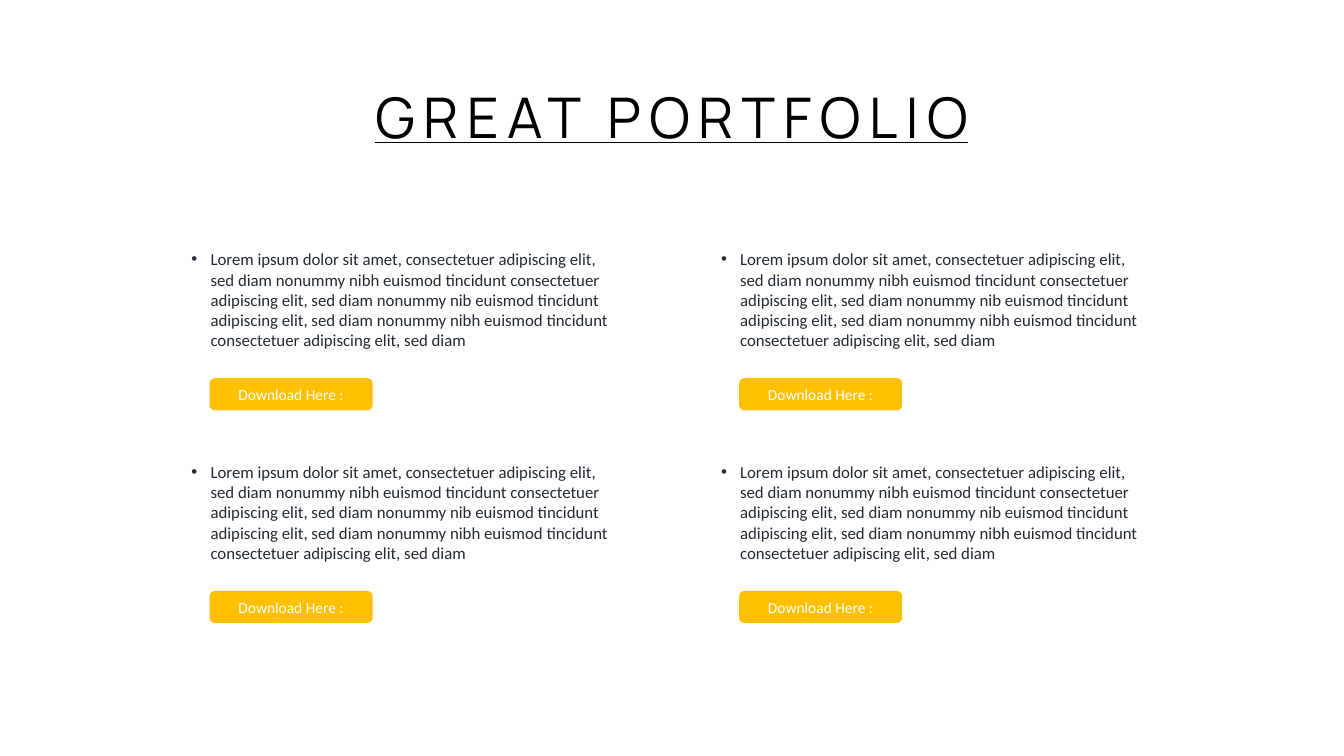
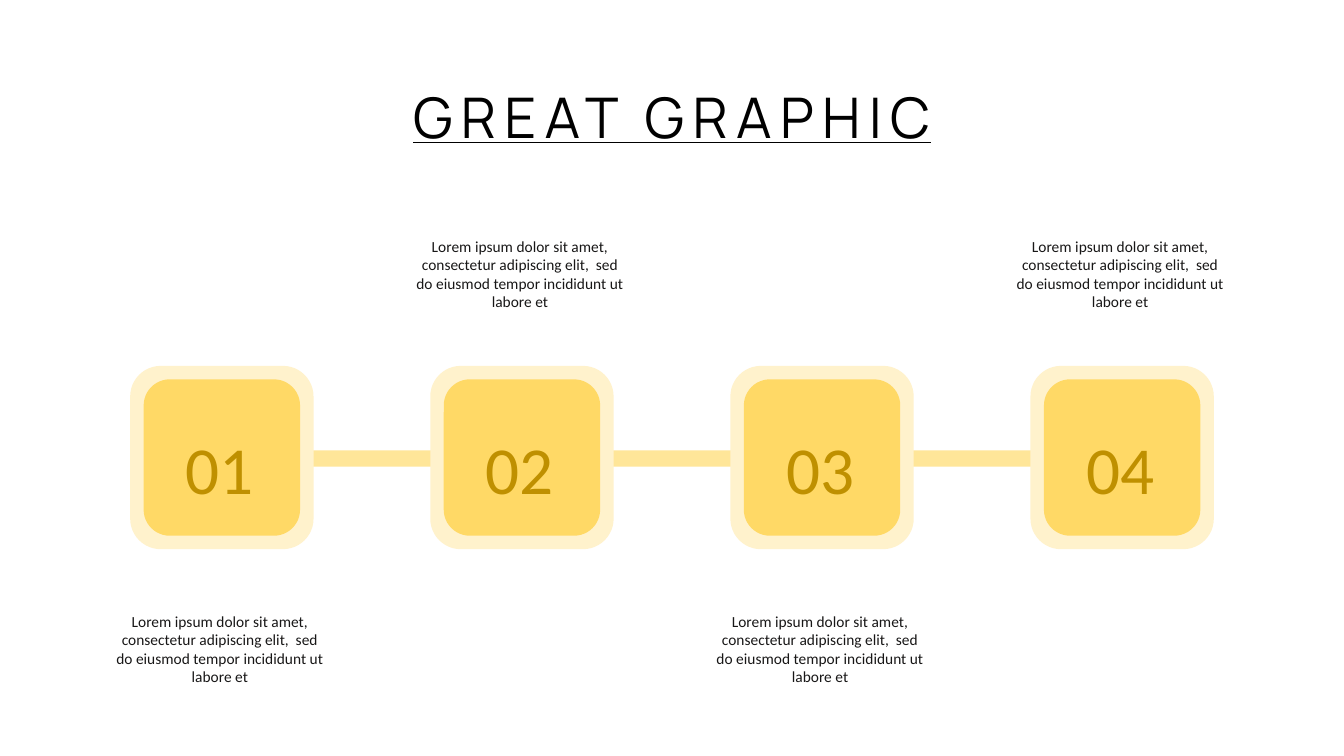
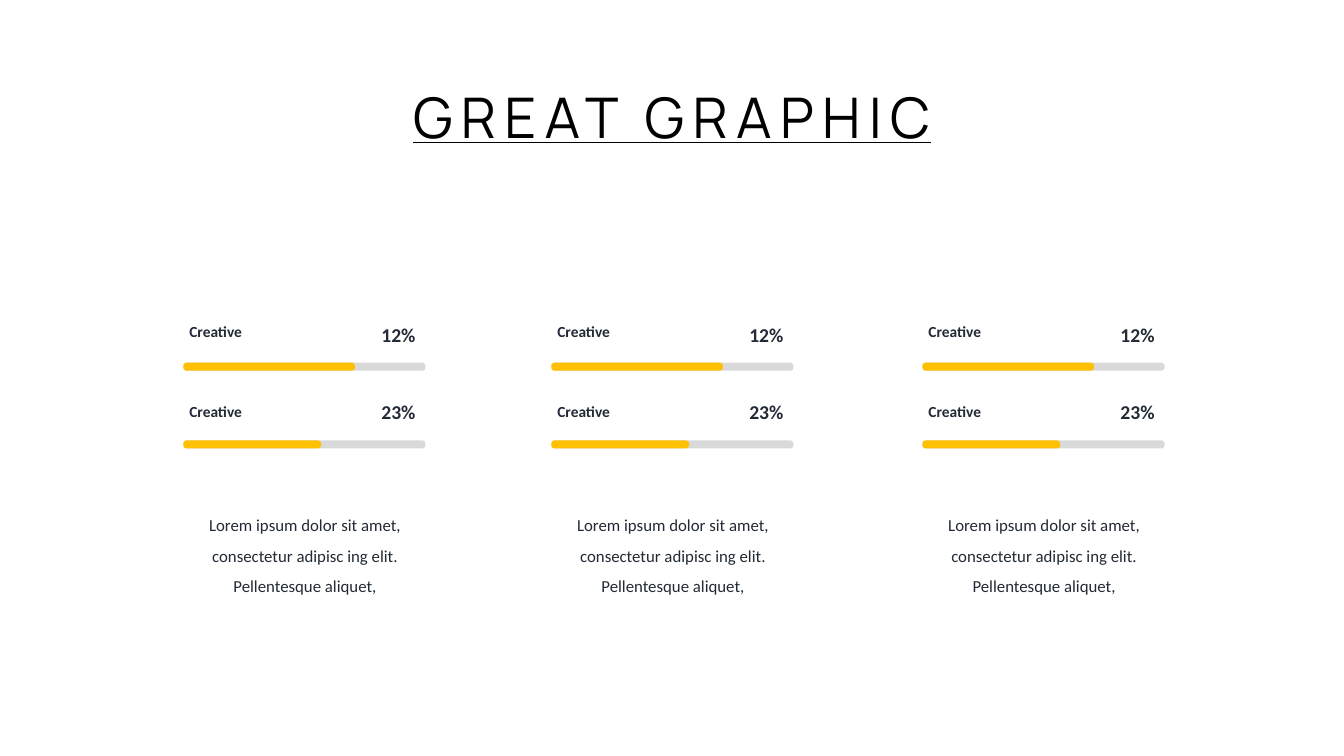
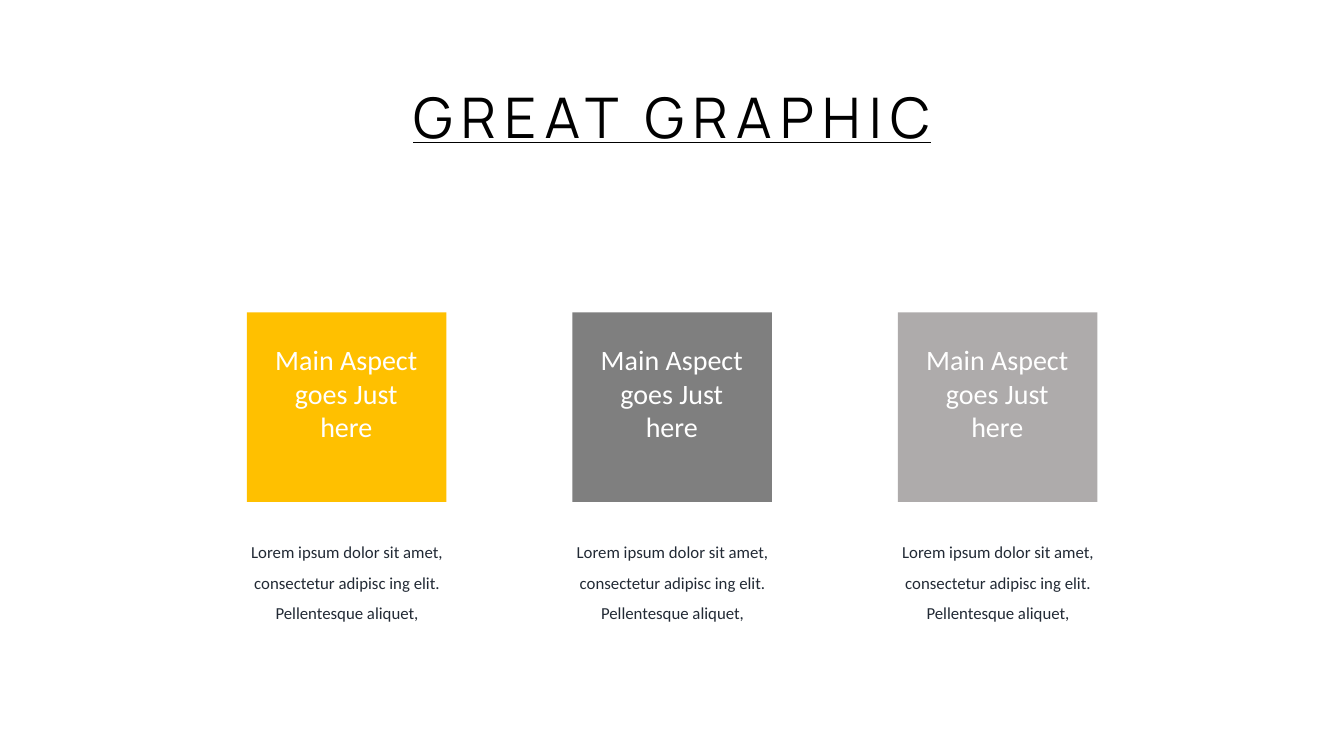
from lxml import etree
from pptx import Presentation
from pptx import util as u
from pptx.dml.color import RGBColor
from pptx.enum import shapes, text
from pptx.oxml.ns import qn

AMBER, INK, WHITE = "FFC000", "222A35", "FFFFFF"
TITLE_ONLY, COMPARISON = 5, 4
ALIGN, SHAPE = text.PP_ALIGN, shapes.MSO_SHAPE


def colour(hex_code):
    return RGBColor.from_string(hex_code)


class Deck:
    def __init__(self):
        self.prs = Presentation()
        self.prs.slide_width, self.prs.slide_height = u.Inches(13.33), u.Inches(7.5)

    def slide(self, heading, layout=TITLE_ONLY):
        self.page = self.prs.slides.add_slide(self.prs.slide_layouts[layout])
        title = self.page.shapes.title
        self.place(title, 4.23, 1.96, 25.4, 1.96)
        self.set_text(title, heading, 40, "000000", font="Manrope")
        for paragraph in title.text_frame.paragraphs:
            paragraph.font.underline = True
            for run in paragraph.runs:
                run.font.underline = True
                run.font._element.set("spc", "600")

    def place(self, item, left, top, width, height):
        item.left, item.top = u.Cm(left), u.Cm(top)
        item.width, item.height = u.Cm(width), u.Cm(height)

    def set_text(self, item, words, size, ink, align=ALIGN.CENTER, bold=False,
                 spacing=1.0, anchor=text.MSO_ANCHOR.TOP, font="Calibri"):
        frame = item.text_frame
        frame.text = words
        frame.word_wrap = True
        frame.auto_size = text.MSO_AUTO_SIZE.NONE
        frame.vertical_anchor = anchor
        for paragraph in frame.paragraphs:
            paragraph.alignment = align
            paragraph.line_spacing = spacing
            paragraph.space_before = u.Pt(0)
            paragraph.font.name = font
            paragraph.font.size = u.Pt(size)
            paragraph.font.bold = bold
            paragraph.font.color.rgb = colour(ink)

    def label(self, words, left, top, width, height, size, ink=INK, **style):
        box = self.page.shapes.add_textbox(
            u.Cm(left), u.Cm(top), u.Cm(width), u.Cm(height))
        self.set_text(box, words, size, ink, **style)

    def block(self, kind, left, top, width, height, fill, corner=None):
        block = self.page.shapes.add_shape(
            kind, u.Cm(left), u.Cm(top), u.Cm(width), u.Cm(height))
        block.shadow.inherit = False
        block.fill.solid()
        block.fill.fore_color.rgb = colour(fill)
        block.line.fill.background()
        if corner is not None:
            block.adjustments[0] = corner
        return block

    def button(self, words, left, top):
        button = self.block(SHAPE.ROUNDED_RECTANGLE, left, top, 4.11, 0.81, AMBER)
        self.set_text(button, words, 11, WHITE, anchor=text.MSO_ANCHOR.MIDDLE)

    def bullet(self, slot, words, left, top):
        item = self.page.placeholders[slot]
        self.place(item, left, top, 11.38, 2.82)
        self.set_text(item, words, 12, INK, align=ALIGN.LEFT)
        for paragraph in item.text_frame.paragraphs:
            props = paragraph._p.get_or_add_pPr()
            props.set("marL", str(u.Cm(0.48)))
            props.set("indent", str(u.Cm(-0.48)))
            mark = etree.Element(qn("a:buChar"), char="•")
            props.insert_element_before(mark, "a:tabLst", "a:defRPr", "a:extLst")

    def meter(self, name, share, left, name_top, share_top, bar_top, filled):
        self.label(name, left - 0.1, name_top, 3.63, 0.74, 11,
                   align=ALIGN.LEFT, bold=True)
        self.label(share, left + 4.32, share_top, 1.78, 0.86, 14,
                   align=ALIGN.RIGHT, bold=True)
        for width, fill in ((6.1, "D9D9D9"), (filled, AMBER)):
            self.block(SHAPE.ROUNDED_RECTANGLE, left, bar_top, width, 0.2, fill, 0.4)

    def summary(self, left, top):
        self.label("Lorem ipsum dolor sit amet, consectetur adipisc ing elit. "
                   "Pellentesque aliquet,", left, top, 6.99, 2.49, 12, spacing=1.5)


deck = Deck()

deck.slide("GREAT PORTFOLIO", COMPARISON)
offer = ("Lorem ipsum dolor sit amet, consectetuer adipiscing elit, sed diam nonummy "
         "nibh euismod tincidunt consectetuer adipiscing elit, sed diam nonummy nib "
         "euismod tincidunt adipiscing elit, sed diam nonummy nibh euismod tincidunt "
         "consectetuer adipiscing elit, sed diam")
for index in range(4):
    column, row = divmod(index, 2)
    left, top = 4.57 + 13.34 * column, 6.15 + 5.36 * row
    deck.bullet(index + 1, offer, left, top)
    deck.button("Download Here :", left + 0.71, top + 3.38)

deck.slide("GREAT GRAPHIC")
deck.block(SHAPE.RECTANGLE, 3.63, 11.35, 26.62, 0.41, "FFE699")
step_note = ("Lorem ipsum dolor sit amet,\nconsectetur adipiscing elit,  sed\n"
             "do eiusmod tempor incididunt ut\nlabore et")
for step in range(4):
    left = 3.28 + 7.56 * step
    deck.block(SHAPE.ROUNDED_RECTANGLE, left, 9.22, 4.62, 4.62, "FFF2CC")
    deck.block(SHAPE.ROUNDED_RECTANGLE, left + 0.34, 9.56, 3.94, 3.94, "FFD966")
    deck.label(f"{step + 1:02}", left + 0.29, 10.64, 3.94, 2.39, 48, "BF9000")
    note_top = 5.84 if step % 2 else 15.29
    deck.label(step_note, left - 2.25, note_top, 9.02, 2.13, 11, "181717")

deck.slide("GREAT GRAPHIC")
for left in (4.62, 13.89, 23.24):
    deck.meter("Creative", "12%", left, 8, 8, 9.14, 4.32)
    deck.meter("Creative", "23%", left, 10.01, 9.96, 11.1, 3.47)
    deck.summary(left - 0.43, 12.6)

deck.slide("GREAT GRAPHIC")
for index, fill in enumerate((AMBER, "7F7F7F", "AEABAB")):
    left = 6.22 + 8.2 * index
    deck.block(SHAPE.RECTANGLE, left, 7.87, 5.03, 4.78, fill)
    deck.label("Main Aspect goes Just here", left + 0.36, 8.51, 4.29, 2.82, 20, WHITE)
    deck.summary(left - 0.97, 13.28)

deck.prs.save("out.pptx")
